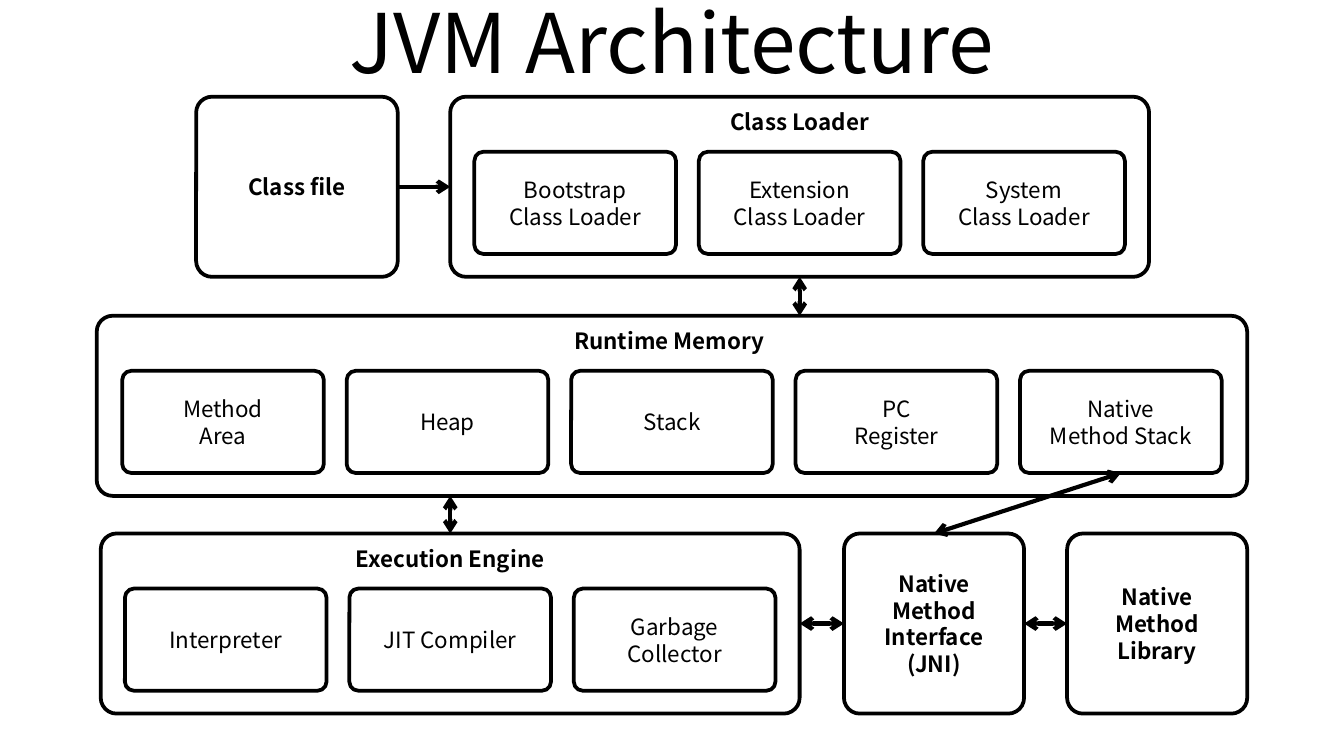
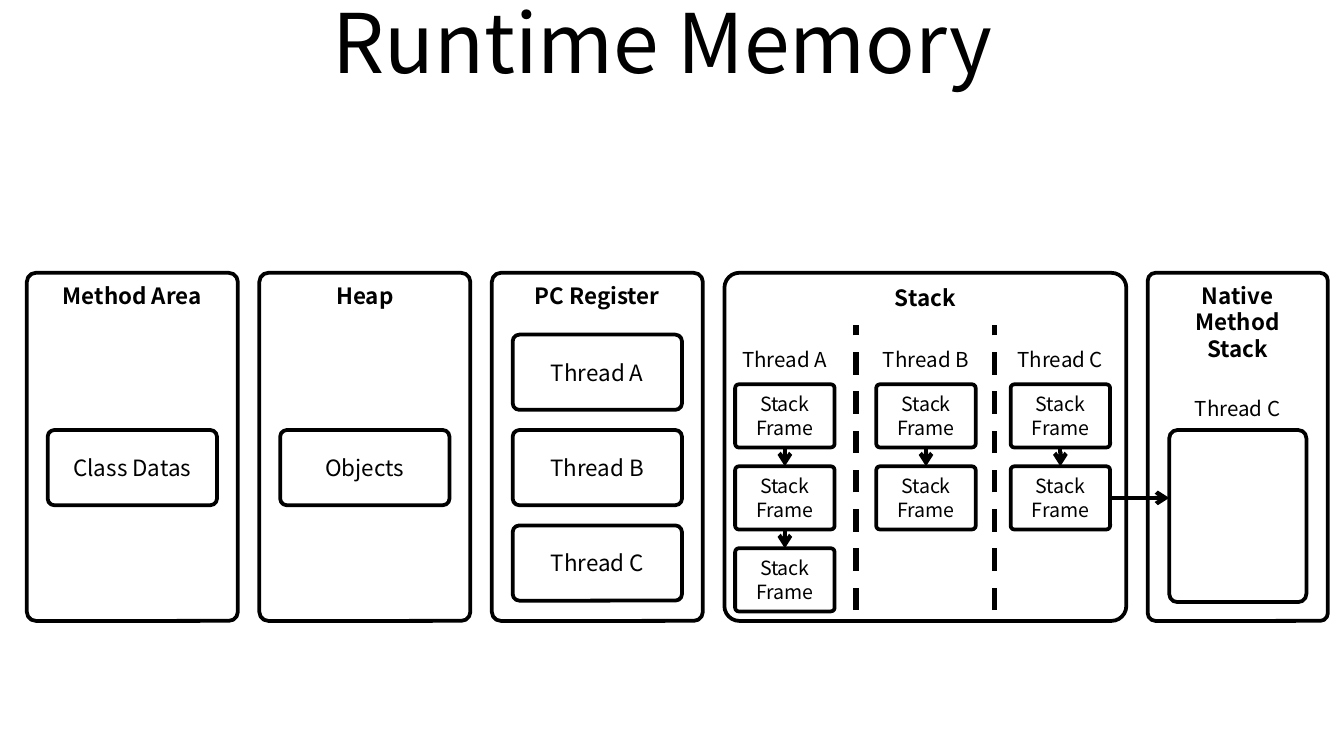
from lxml import etree
from pptx import Presentation
from pptx.dml.color import RGBColor
from pptx.enum.dml import MSO_LINE
from pptx.enum.shapes import MSO_CONNECTOR, MSO_SHAPE
from pptx.enum.text import MSO_ANCHOR, PP_ALIGN
from pptx.oxml.ns import qn
from pptx.util import Inches, Pt

ROUND, STRAIGHT = MSO_SHAPE.ROUNDED_RECTANGLE, MSO_CONNECTOR.STRAIGHT
TOP_ANCHOR, MIDDLE, CENTER = MSO_ANCHOR.TOP, MSO_ANCHOR.MIDDLE, PP_ALIGN.CENTER
DASH = MSO_LINE.DASH
TOP, LEFT, BOTTOM, RIGHT = range(4)

COLORS = {"ink": "000000", "paper": "FFFFFF"}
FONT = "Noto Sans CJK KR"
SLIDE_W = 10
SLIDE_H = SLIDE_W * 9 / 16

# Slide 1: panels as (key, heading, row, left, width, cells)
ROW_TOPS, ROW_H = (0.72, 2.35, 3.97), 1.34
CELL_W, CELL_H, CELL_GAP, CELL_DROP = 1.5, 0.76, 0.17, 0.41
ARCHITECTURE = [
    ("file", "Class file", 0, 1.46, 1.5, []),
    ("loader", "Class Loader", 0, 3.35, 5.2,
     ["Bootstrap\nClass Loader", "Extension\nClass Loader", "System\nClass Loader"]),
    ("memory", "Runtime Memory ", 1, 0.72, 8.56,
     ["Method\nArea", "Heap", "Stack", "PC\nRegister", "Native\nMethod Stack"]),
    ("engine", "Execution Engine", 2, 0.75, 5.2,
     ["Interpreter", "JIT Compiler", "Garbage Collector"]),
    ("jni", "Native Method Interface (JNI)", 2, 6.28, 1.34, []),
    ("library", "Native Method Library", 2, 7.94, 1.34, []),
]

# Slide 2: panels as (heading, width, {row: cell}), then thread stacks
PANEL_LEFT, PANEL_TOP, PANEL_H, PANEL_GAP = 0.2, 2.03, 2.59, 0.16
AREAS = [
    ("Method Area", 1.57, {1: "Class Datas"}),
    ("Heap", 1.57, {1: "Objects"}),
    ("PC Register", 1.57, {0: "Thread A", 1: "Thread B", 2: "Thread C"}),
    ("Stack", 2.99, {}),
    ("Native\nMethod\nStack", 1.34, {}),
]
AREA_CELL_W, AREA_CELL_H, AREA_CELL_TOP, AREA_CELL_PITCH = 1.26, 0.56, 2.49, 0.71
THREADS = [("Thread A", 5.84, 3), ("Thread B", 6.89, 2), ("Thread C", 7.89, 2)]
FRAME_W, FRAME_H, FRAME_TOP, FRAME_PITCH = 0.74, 0.47, 2.86, 0.61
LABEL_W, LABEL_H, LABEL_TOP = 1.1, 0.43, 2.46
DIVIDERS, DIVIDER_TOP, DIVIDER_BOTTOM = (6.37, 7.4), 2.42, 4.54


def color(name):
    return RGBColor.from_string(COLORS[name])


def write(holder, text, size, bold=False, anchor=MIDDLE):
    frame = holder.text_frame
    frame.word_wrap = True
    frame.vertical_anchor = anchor
    for i, line in enumerate(text.split("\n")):
        paragraph = frame.paragraphs[0] if i == 0 else frame.add_paragraph()
        paragraph.alignment = CENTER
        run = paragraph.add_run()
        run.text = line
        run.font.size, run.font.bold, run.font.name = Pt(size), bold, FONT
        run.font.color.rgb = color("ink")
        east_asian = etree.SubElement(run.font._element, qn("a:ea"))
        east_asian.set("typeface", FONT)


def box(slide, left, top, width, height, text="", size=12, bold=False,
        anchor=MIDDLE, rounding=0.088, framed=True):
    shape = slide.shapes.add_shape(
        ROUND, Inches(left), Inches(top), Inches(width), Inches(height))
    shape.adjustments[0] = rounding
    shape.shadow.inherit = False
    if framed:
        shape.fill.solid()
        shape.fill.fore_color.rgb = color("paper")
        shape.line.color.rgb = color("ink")
        shape.line.width = Pt(2)
    else:
        shape.fill.background()
        shape.line.fill.background()
    if text:
        write(shape, text, size, bold, anchor)
    return shape


def link(slide, start, end, heads=("tailEnd",), width=2.25, dash=None):
    """Each end is an (x, y) point or a (shape, side) pair."""
    def is_point(spot):
        return isinstance(spot[0], (int, float))

    points = [Inches(v) for spot in (start, end)
              for v in (spot if is_point(spot) else (0, 0))]
    line = slide.shapes.add_connector(STRAIGHT, *points)
    if not is_point(start):
        line.begin_connect(*start)
    if not is_point(end):
        line.end_connect(*end)
    line.line.color.rgb = color("ink")
    line.line.width = Pt(width)
    if dash:
        line.line.dash_style = dash
    outline = line.line._get_or_add_ln()
    for head in heads:
        etree.SubElement(outline, qn("a:" + head)).set("type", "arrow")
    etree.SubElement(line._element.spPr, qn("a:effectLst"))


def new_slide(deck, title):
    slide = deck.slides.add_slide(deck.slide_layouts[6])
    heading = slide.shapes.add_textbox(
        Inches(0.5), Inches(-0.17), Inches(SLIDE_W - 1), Inches(0.94))
    write(heading, title, 44)
    return slide


def architecture_slide(deck):
    slide = new_slide(deck, "JVM Architecture")
    panels, parts = {}, {}
    for key, heading, row, left, width, cells in ARCHITECTURE:
        top = ROW_TOPS[row]
        panels[key] = box(slide, left, top, width, ROW_H, heading, bold=True,
                          anchor=TOP_ANCHOR if cells else MIDDLE)
        pitch = CELL_W + CELL_GAP
        first = left + (width - len(cells) * pitch + CELL_GAP) / 2
        for i, cell in enumerate(cells):
            parts[cell] = box(slide, first + i * pitch, top + CELL_DROP,
                              CELL_W, CELL_H, cell)

    # Arrows between the parts
    both = ("headEnd", "tailEnd")
    link(slide, (panels["file"], RIGHT), (panels["loader"], LEFT))
    link(slide, (panels["loader"], BOTTOM), (5.95, ROW_TOPS[1]), both)
    link(slide, (panels["engine"], TOP), (3.35, ROW_TOPS[1] + ROW_H), both)
    link(slide, (panels["engine"], RIGHT), (panels["jni"], LEFT), both)
    link(slide, (panels["jni"], RIGHT), (panels["library"], LEFT), both)
    link(slide, (panels["jni"], TOP), (parts["Native\nMethod Stack"], BOTTOM), both)


def memory_slide(deck):
    slide = new_slide(deck, "Runtime Memory ")
    left = PANEL_LEFT
    for heading, width, cells in AREAS:
        box(slide, left, PANEL_TOP, width, PANEL_H, heading, bold=True,
            anchor=TOP_ANCHOR, rounding=0.043)
        for row, cell in cells.items():
            box(slide, left + (width - AREA_CELL_W) / 2,
                AREA_CELL_TOP + row * AREA_CELL_PITCH, AREA_CELL_W, AREA_CELL_H, cell)
        left += width + PANEL_GAP

    # Thread stacks
    for x in DIVIDERS:
        link(slide, (x, DIVIDER_BOTTOM), (x, DIVIDER_TOP), (), 3, DASH)
    for thread, center, depth in THREADS:
        frames = [box(slide, center - FRAME_W / 2, FRAME_TOP + i * FRAME_PITCH,
                      FRAME_W, FRAME_H, "Stack\nFrame", 10.5, rounding=0.059)
                  for i in range(depth)]
        for upper, lower in zip(frames, frames[1:]):
            link(slide, (upper, BOTTOM), (lower, TOP))
        box(slide, center - LABEL_W / 2, LABEL_TOP, LABEL_W, LABEL_H, thread, 11,
            framed=False)

    # Native stack of the last thread
    box(slide, 8.7, 3.2, 1.02, 1.28, rounding=0.059)
    box(slide, 8.66, 2.82, LABEL_W, LABEL_H, "Thread C", 11, framed=False)
    link(slide, (frames[-1], RIGHT), (8.7, FRAME_TOP + FRAME_PITCH + FRAME_H / 2))


def main():
    deck = Presentation()
    deck.slide_width, deck.slide_height = Inches(SLIDE_W), Inches(SLIDE_H)
    architecture_slide(deck)
    memory_slide(deck)
    deck.save("out.pptx")


if __name__ == "__main__":
    main()
